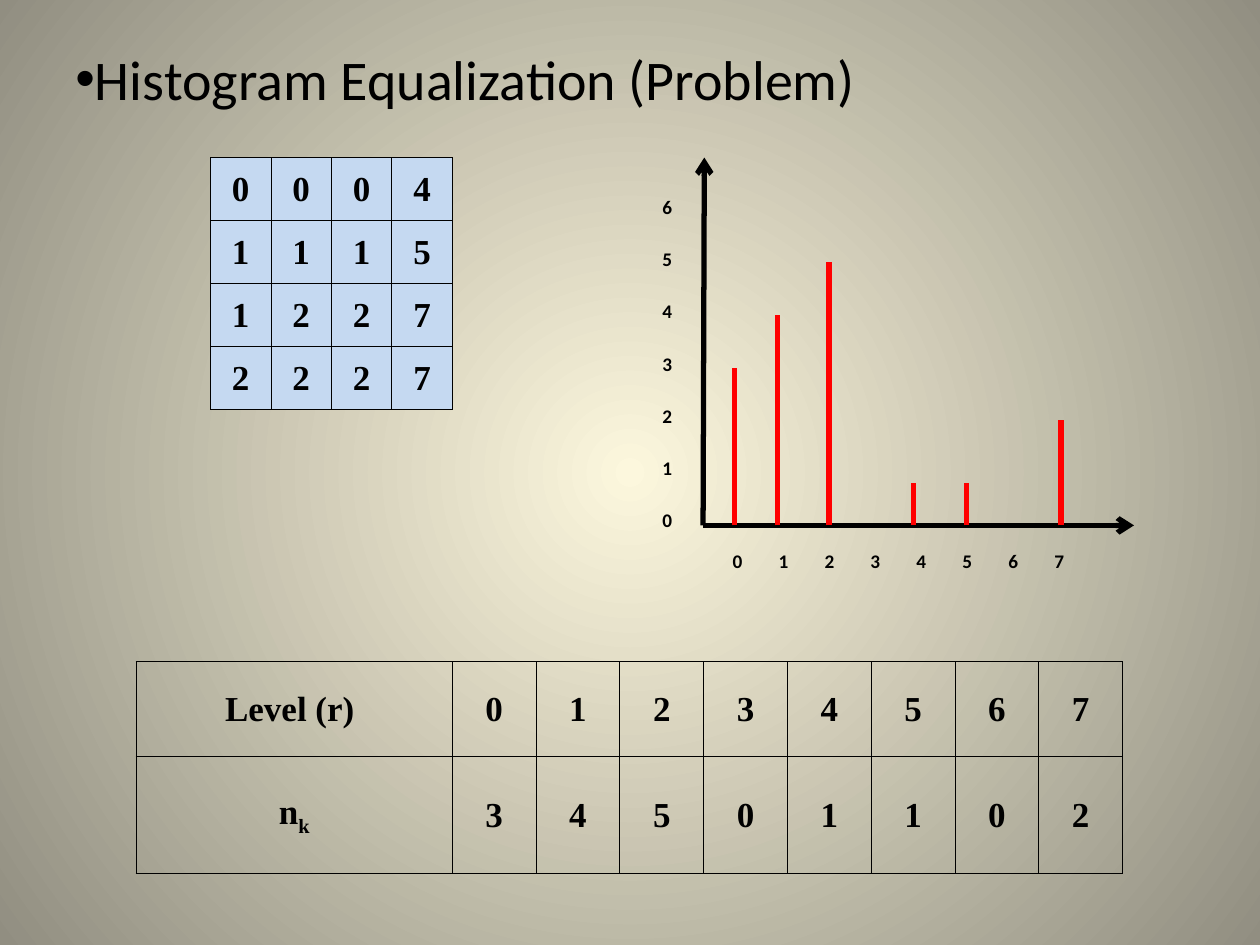
from dataclasses import dataclass

import pptx
import pptx.dml.color
import pptx.enum.shapes
import pptx.enum.text
import pptx.oxml.ns
import pptx.oxml.xmlchemy
import pptx.util
from lxml import etree
from pptx.util import Inches, Pt

qn = pptx.oxml.ns.qn
ANCHOR = pptx.enum.text.MSO_ANCHOR
NO_TABLE_STYLE = "{2D5ABB26-0587-4C30-8999-92F81FD0307C}"


@dataclass(frozen=True)
class Theme:
    ink: str = "000000"
    bar: str = "FF0000"
    pixel: str = "C5D9F1"
    center: str = "FCF7DD"
    edge: str = "918E81"
    sans: str = "Calibri"
    serif: str = "Times New Roman"
    title: int = 32
    body: int = 20
    tick: int = 11
    stroke: int = 3
    border: float = 0.5


THEME = Theme()


def rgb(code):
    return pptx.dml.color.RGBColor.from_string(code)


def style_font(font, name, size, bold):
    font.name, font.size, font.bold = name, Pt(size), bold
    font.color.rgb = rgb(THEME.ink)


def paint_background(page):
    fill = page.background.fill
    fill.gradient()
    for stop, position, color in zip(fill.gradient_stops, (0, 1), (THEME.center, THEME.edge)):
        stop.position = position
        stop.color.rgb = rgb(color)
    linear = next(page.background._cSld.iter(qn("a:lin")))
    gradient = linear.getparent()
    circle = etree.SubElement(gradient, qn("a:path"), {"path": "circle"})
    etree.SubElement(circle, qn("a:fillToRect"), dict.fromkeys("ltrb", "50000"))
    gradient.replace(linear, circle)


def add_title(page, left, top, width, height):
    box = page.shapes.add_textbox(Inches(left), Inches(top), Inches(width), Inches(height))
    box.text_frame.word_wrap = True
    para = box.text_frame.paragraphs[0]
    para.text = "Histogram Equalization (Problem)"
    properties = para._p.get_or_add_pPr()
    properties.set("marL", "0")
    properties.set("indent", "0")
    etree.SubElement(properties, qn("a:buFont"), typeface="Arial")
    etree.SubElement(properties, qn("a:buChar"), char="•")
    style_font(para.runs[0].font, THEME.sans, THEME.title, False)


def add_borders(cell):
    properties = cell._tc.get_or_add_tcPr()
    for index, side in enumerate(("lnL", "lnR", "lnT", "lnB")):
        line = etree.Element(qn(f"a:{side}"), w=str(Pt(THEME.border)))
        solid = etree.SubElement(line, qn("a:solidFill"))
        etree.SubElement(solid, qn("a:srgbClr"), val=THEME.ink)
        properties.insert(index, line)


def add_grid(page, left, top, widths, heights, rows, font=THEME.serif, size=THEME.body,
             fill=None, borders=True, anchor=ANCHOR.MIDDLE):
    """Add a table of centred bold text and return it."""
    frame = page.shapes.add_table(len(heights), len(widths), Inches(left), Inches(top),
                                  Inches(sum(widths)), Inches(sum(heights)))
    table = frame.table
    table.first_row = table.horz_banding = False
    next(table._tbl.iter(qn("a:tableStyleId"))).text = NO_TABLE_STYLE
    for column, width in zip(table.columns, widths):
        column.width = Inches(width)
    for row, height, values in zip(table.rows, heights, rows):
        row.height = Inches(height)
        for cell, value in zip(row.cells, values):
            cell.margin_left = cell.margin_right = cell.margin_top = Inches(0.01)
            cell.margin_bottom = 0
            cell.vertical_anchor = anchor
            para = cell.text_frame.paragraphs[0]
            para.text = value
            para.alignment = pptx.enum.text.PP_ALIGN.CENTER
            style_font(para.runs[0].font, font, size, True)
            if fill:
                cell.fill.solid()
                cell.fill.fore_color.rgb = rgb(fill)
            else:
                cell.fill.background()
            if borders:
                add_borders(cell)
    return table


def add_line(page, start, end, color, arrow=False):
    line = page.shapes.add_connector(pptx.enum.shapes.MSO_CONNECTOR.STRAIGHT,
                                     *map(Inches, (*start, *end)))
    line.line.color.rgb = rgb(color)
    line.line.width = Pt(THEME.stroke)
    if arrow:
        etree.SubElement(line.line._get_or_add_ln(), qn("a:tailEnd"), type="arrow")
    etree.SubElement(line._element.spPr, qn("a:effectLst"))


def add_histogram(page, left, top, width, height):
    """Draw axes, tick labels and bars; left and top locate the tick labels' box."""
    origin_x, base = left + 0.41, top + height
    add_line(page, (origin_x, base), (left + width, base), THEME.ink, arrow=True)
    add_line(page, (origin_x, base), (origin_x + 0.01, top), THEME.ink, arrow=True)
    ticks = dict(font=THEME.sans, size=THEME.tick, borders=False)
    add_grid(page, left + 0.5, base + 0.16, [2.92 / 8] * 8, [0.25], ["01234567"], **ticks)
    add_grid(page, left, top + 0.08, [0.25], [2.9 / 7] * 7, "6543210",
             anchor=ANCHOR.BOTTOM, **ticks)
    bars = [(0.66, 1.25), (1, 1.67), (1.41, 2.09), (2.08, 0.34), (2.5, 0.34), (3.25, 0.84)]
    for offset, length in bars:
        add_line(page, (left + offset, base), (left + offset, base - length), THEME.bar)


def add_level_table(page, left, top, width, height):
    label = 2.51
    table = add_grid(page, left, top, [label] + [(width - label) / 8] * 8,
                     [0.75, height - 0.75], [["Level (r) ", *"01234567"], ["n", *"34501102"]])
    span = table.cell(1, 0).text_frame.paragraphs[0].add_run()
    span.text = "k"
    style_font(span.font, THEME.serif, THEME.body, True)
    span._r.get_or_add_rPr().set("baseline", "-25000")


def main():
    deck = pptx.Presentation()
    deck.slide_width, deck.slide_height = Inches(10), Inches(7.5)
    page = deck.slides.add_slide(deck.slide_layouts[6])
    paint_background(page)
    add_title(page, 0.5, 0.3, 9.17, 6.95)
    add_grid(page, 1.67, 1.25, [0.48] * 4, [0.5] * 4, ["0004", "1115", "1227", "2227"],
             fill=THEME.pixel)
    add_level_table(page, 1.08, 5.25, 7.83, 1.68)
    add_histogram(page, 5.17, 1.25, 3.83, 2.92)
    deck.save("out.pptx")


if __name__ == "__main__":
    main()
